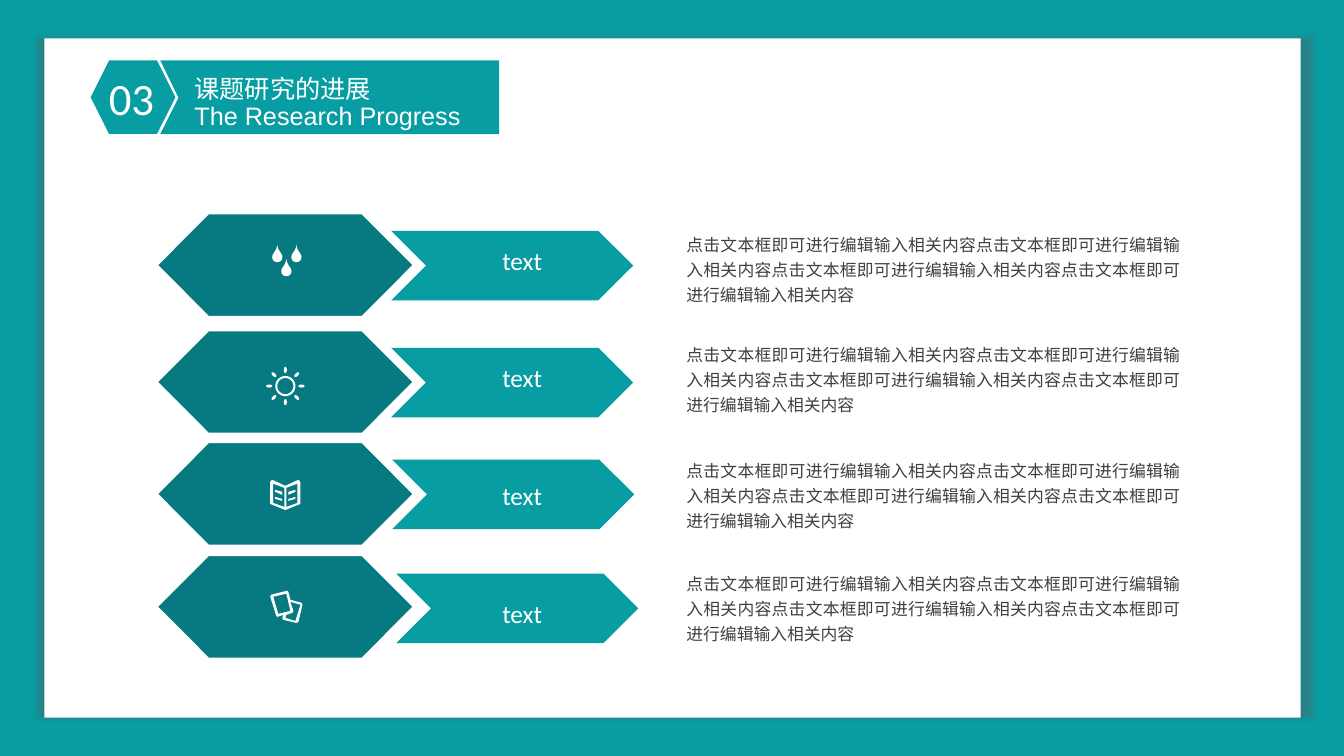
from math import cos, pi, sin

from lxml.etree import SubElement
from pptx import Presentation
from pptx.dml.color import RGBColor
from pptx.enum.shapes import MSO_SHAPE
from pptx.enum.text import MSO_AUTO_SIZE, PP_ALIGN
from pptx.oxml.ns import qn
from pptx.util import Inches, Pt

COLORS = {"teal": "089DA3", "deep": "067A80", "white": "FFFFFF",
          "body": "404040", "shade": "595959"}
CJK = "Noto Sans CJK SC"
NUMBER = "03"
TITLE = "课题研究的进展"
SUBTITLE = "The Research Progress"
LABEL = "text"
BODY = "点击文本框即可进行编辑输入相关内容" * 4

ROWS = [
    {"hexagon": 2.12, "chevron": (3.88, 2.29), "body": 2.23},
    {"hexagon": 3.28, "chevron": (3.88, 3.45), "body": 3.32},
    {"hexagon": 4.39, "chevron": (3.89, 4.56), "body": 4.47},
    {"hexagon": 5.51, "chevron": (3.93, 5.69), "body": 5.59},
]
LABEL_TOP, LABEL_STEP = 2.38, 1.17

BANNER = [(1.59, 0.6), (4.95, 0.6), (4.95, 1.33), (1.59, 1.33), (1.77, 0.97)]
DROP_TIPS = [(2.75, 2.43), (2.94, 2.43), (2.84, 2.57)]
DROP_CURVES = [[(0, 0), (-0.01, 0.07), (-0.05, 0.08), (-0.05, 0.12)],
               [(-0.05, 0.12), (-0.05, 0.15), (-0.03, 0.17), (0, 0.17)]]
SUN_CENTER = (2.83, 3.83)
BOOK_ORIGIN = (2.68, 4.76)
BOOK_COVER = [(0, 2), (2, 0), (15, 6), (28, 0), (30, 2), (30, 24), (15, 30), (0, 24)]
BOOK_LEFT = [[(3, 23), (3, 4), (14, 8), (14, 27)],
             [(12, 19), (5, 17), (5, 19), (12, 21)],
             [(12, 12), (5, 10), (5, 12), (12, 15)]]
CARDS_ORIGIN = (2.68, 5.86)
CARDS = [
    [(1, 4), (17, 0), (18, 1), (20, 9), (31, 12), (32, 14), (28, 31), (26, 32),
     (13, 29), (12, 27), (13, 24), (7, 26), (6, 25), (0, 6)],
    [(3, 6), (16, 3), (20, 20), (8, 23)],
    [(25, 30), (15, 27), (16, 24), (22, 22), (23, 20), (20, 11), (30, 14)],
]

deck = Presentation()
deck.slide_width, deck.slide_height = Inches(13.33), Inches(7.5)
slide = deck.slides.add_slide(deck.slide_layouts[6])


def rgb(name):
    return RGBColor.from_string(COLORS[name])


def paint(shape, fill, line=None):
    shape.shadow.inherit = False
    shape.fill.solid()
    shape.fill.fore_color.rgb = rgb(fill)
    if line:
        shape.line.color.rgb = rgb(line)
        shape.line.width = Pt(1)
    else:
        shape.line.fill.background()
    return shape


def add_block(kind, box, fill, line=None):
    return paint(slide.shapes.add_shape(kind, *map(Inches, box)), fill, line)


def add_outline(contours, fill):
    scaled = [[(Inches(x), Inches(y)) for x, y in points] for points in contours]
    builder = slide.shapes.build_freeform(*scaled[0][0])
    builder.add_line_segments(scaled[0][1:], close=True)
    for points in scaled[1:]:
        builder.move_to(*points[0])
        builder.add_line_segments(points[1:], close=True)
    paint(builder.convert_to_shape(), fill)


def add_text(text, box, size=18, font="Calibri", color="white",
             align=PP_ALIGN.LEFT, spacing=None, wrap=True):
    holder = slide.shapes.add_textbox(*map(Inches, box))
    frame = holder.text_frame
    frame.word_wrap = wrap
    frame.auto_size = MSO_AUTO_SIZE.SHAPE_TO_FIT_TEXT
    paragraph = frame.paragraphs[0]
    paragraph.alignment = align
    if spacing:
        paragraph.line_spacing = spacing
    run = paragraph.add_run()
    run.text = text
    run.font.size = Pt(size)
    run.font.name = font
    run.font.color.rgb = rgb(color)
    SubElement(run.font._element, qn("a:ea"), typeface=font)


def add_shadow(shape):
    effects = shape._element.spPr.find(qn("a:effectLst"))
    shadow = SubElement(effects, qn("a:outerShdw"), blurRad=str(Pt(4)), dist=str(Pt(2)),
                        dir="0", sx="101500", sy="100000", algn="ctr", rotWithShape="0")
    tint = SubElement(shadow, qn("a:srgbClr"), val=COLORS["shade"])
    SubElement(tint, qn("a:alpha"), val="36000")


def bezier(points, steps=8):
    weights = (1, 3, 3, 1)
    return [tuple(sum(w * (1 - t) ** (3 - i) * t ** i * p[axis]
                      for i, (w, p) in enumerate(zip(weights, points)))
                  for axis in (0, 1))
            for t in (step / steps for step in range(steps + 1))]


def drop(tip):
    left = bezier(DROP_CURVES[0]) + bezier(DROP_CURVES[1])[1:]
    right = [(-x, y) for x, y in left[-2:0:-1]]
    return [(tip[0] + x, tip[1] + y) for x, y in left + right]


def ellipse(center, long, short, turn=0.0, steps=32):
    points = []
    for step in range(steps):
        angle = 2 * pi * step / steps
        x, y = long * cos(angle), short * sin(angle)
        points.append((center[0] + x * cos(turn) - y * sin(turn),
                       center[1] + x * sin(turn) + y * cos(turn)))
    return points


def sun(center):
    turns = [pi / 4 * ray for ray in range(8)]
    rays = [ellipse((center[0] + 0.16 * cos(turn), center[1] + 0.16 * sin(turn)),
                    0.03, 0.015, turn) for turn in turns]
    return [ellipse(center, 0.1, 0.1), ellipse(center, 0.08, 0.08)] + rays


def place(contours, origin):
    return [[(origin[0] + x / 100, origin[1] + y / 100) for x, y in points]
            for points in contours]


slide.background.fill.solid()
slide.background.fill.fore_color.rgb = rgb("teal")
add_shadow(add_block(MSO_SHAPE.RECTANGLE, (0.44, 0.38, 12.46, 6.74), "white"))
add_outline([BANNER], "teal")
add_block(MSO_SHAPE.HEXAGON, (0.9, 0.6, 0.84, 0.73), "teal")
add_text(NUMBER, (0.87, 0.65, 0.87, 0.64), size=32, align=PP_ALIGN.CENTER)
add_text(TITLE, (1.83, 0.38, 1.97, 0.62), font=CJK, spacing=2.0, wrap=False)
add_text(SUBTITLE, (1.83, 0.95, 5.49, 0.4), font="Arial")

for index, row in enumerate(ROWS):
    add_block(MSO_SHAPE.FLOWCHART_PREPARATION, (1.56, row["hexagon"], 2.54, 1.02),
              "deep", "white")
    add_block(MSO_SHAPE.CHEVRON, (*row["chevron"], 2.4, 0.69), "teal")
    add_text(LABEL, (4.61, LABEL_TOP + index * LABEL_STEP, 1.14, 0.4),
             align=PP_ALIGN.CENTER)
    add_text(BODY, (6.71, row["body"], 5.1, 0.86), size=12, font=CJK, color="body",
             align=PP_ALIGN.JUSTIFY, spacing=1.25)

book_right = [[(30 - x, y) for x, y in points] for points in BOOK_LEFT]
icons = [
    [drop(tip) for tip in DROP_TIPS],
    sun(SUN_CENTER),
    place([BOOK_COVER] + BOOK_LEFT + book_right, BOOK_ORIGIN),
    place(CARDS, CARDS_ORIGIN),
]
for icon in icons:
    add_outline(icon, "white")

deck.save("out.pptx")
